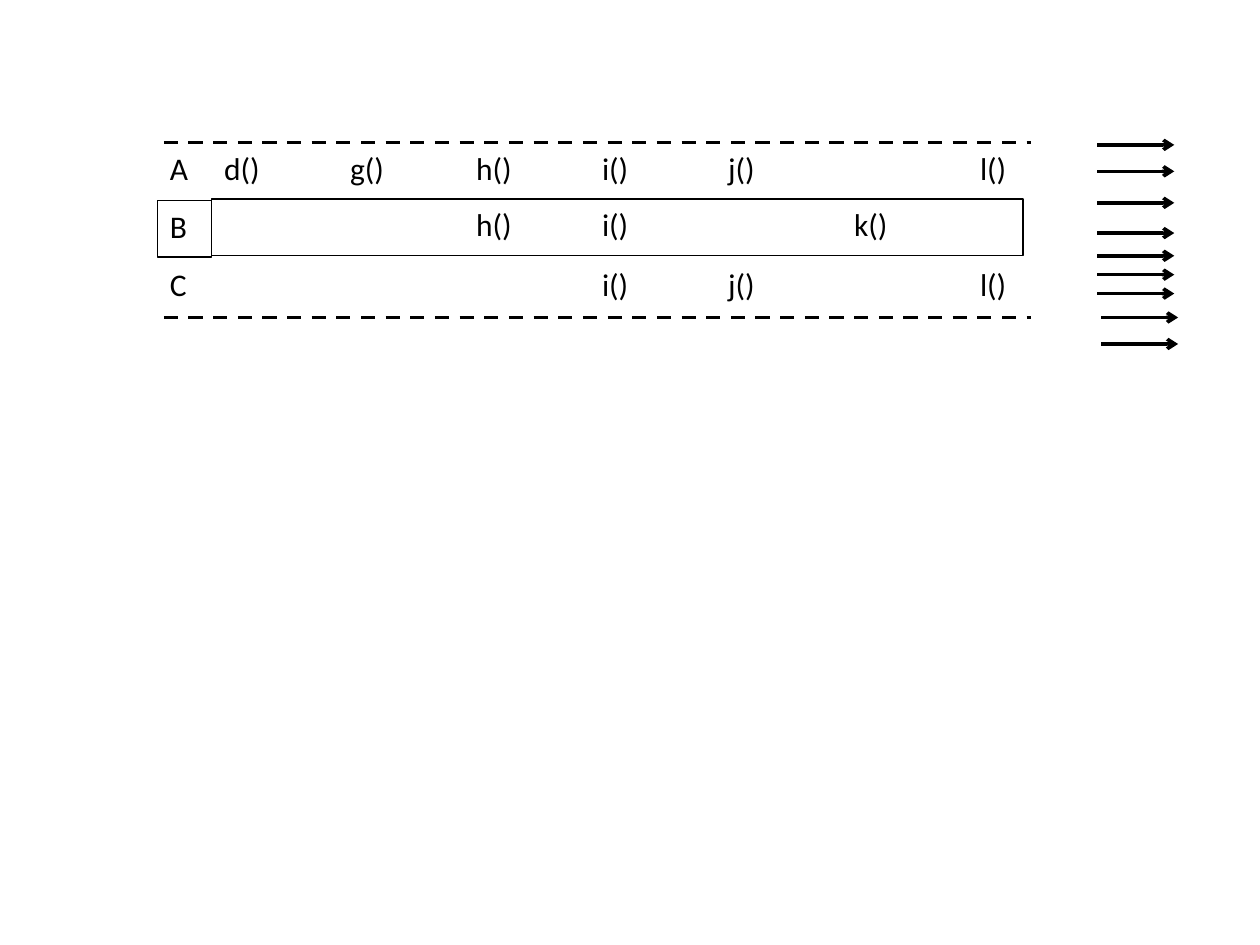
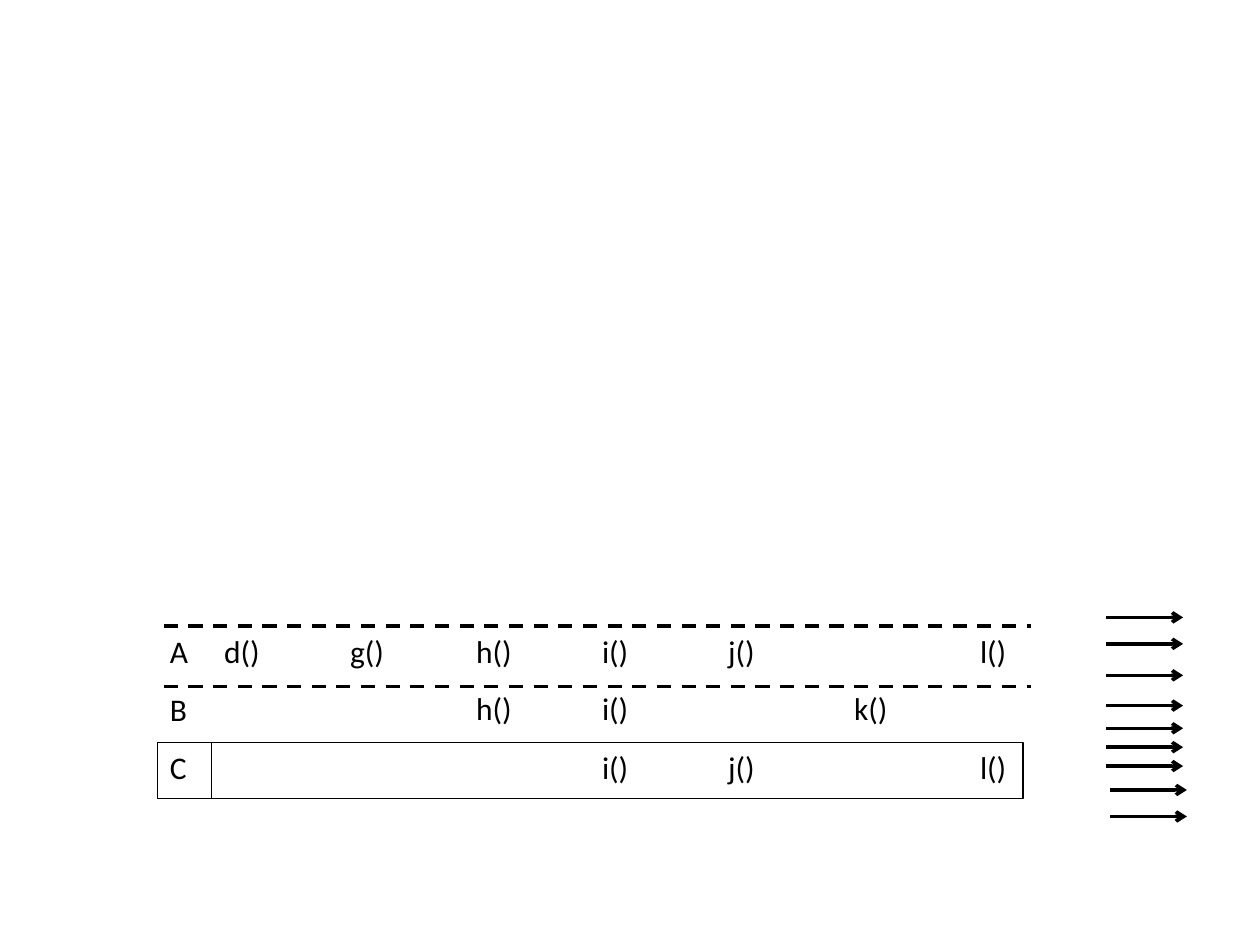
from dataclasses import dataclass

import pptx
import pptx.dml.color
import pptx.enum.dml
import pptx.enum.shapes
import pptx.enum.text
import pptx.oxml
import pptx.oxml.ns
import pptx.presentation
import pptx.shapes.connector
import pptx.slide
import pptx.util

Inches = pptx.util.Inches
Pt = pptx.util.Pt

BLACK = pptx.dml.color.RGBColor(0, 0, 0)
FONT = "Calibri"
BLANK_LAYOUT = 6

LABEL_LEFT, LABEL_WIDTH = 1.25, 0.43
CALLS_LEFT, CALLS_WIDTH = 1.68, 6.44
ROW_HEIGHT = 0.45
DASH_LEFT, DASH_RIGHT = 1.3, 8.18
TAB_STEP, TAB_COUNT = 0.5, 12
ARROW_LENGTH = 0.61
LATE_ARROW_SHIFT = 0.03
ARROW_OFFSETS = (0, 0.21, 0.46, 0.7, 0.88, 1.03, 1.18, 1.37, 1.58)
LATE_ARROWS = 2


@dataclass(frozen=True)
class ThreadRow:
    name: str
    label_offset: float
    calls_offset: float
    calls: tuple[str, ...]


@dataclass(frozen=True)
class Timeline:
    top: float
    boxed: str
    dashes: tuple[float, ...]
    arrow_left: float
    arrow_top: float


ROWS = (
    ThreadRow("A", 0, 0, ("d()", "g()", "h()", "i()", "j()", "", "l()")),
    ThreadRow("B", 0.46, 0.45, ("", "", "h()", "i()", "", "k()", "")),
    ThreadRow("C", 0.92, 0.92, ("", "", "", "i()", "j()", "", "l()")),
)

TIMELINES = (
    Timeline(1.13, "B", (1.13, 2.52), 8.71, 1.15),
    Timeline(4.97, "C", (4.97, 5.45), 8.78, 4.9),
)


def add_cell(s: pptx.slide.Slide, left: float, top: float, width: float,
             text: str, boxed: bool) -> None:
    """Add one line of tabbed text, outlined when boxed."""
    box = Inches(left), Inches(top), Inches(width), Inches(ROW_HEIGHT)
    if boxed:
        sp = s.shapes.add_shape(pptx.enum.shapes.MSO_SHAPE.RECTANGLE, *box)
        sp.shadow.inherit = False
        sp.fill.background()
        sp.line.color.rgb = BLACK
        sp.line.width = Pt(0.75)
    else:
        sp = s.shapes.add_textbox(*box)
    tf = sp.text_frame
    tf.word_wrap = True
    tf.vertical_anchor = pptx.enum.text.MSO_ANCHOR.TOP
    p = tf.paragraphs[0]
    p.alignment = pptx.enum.text.PP_ALIGN.LEFT
    r = p.add_run()
    r.text = text
    r.font.name = FONT
    r.font.size = Pt(18)
    r.font.color.rgb = BLACK
    if "\t" in text:
        stops = "".join(f'<a:tab pos="{Inches(TAB_STEP * n)}" algn="l"/>'
                        for n in range(1, TAB_COUNT + 1))
        p._p.get_or_add_pPr().append(pptx.oxml.parse_xml(
            f'<a:tabLst {pptx.oxml.ns.nsdecls("a")}>{stops}</a:tabLst>'))


def add_level_line(s: pptx.slide.Slide, left: float, right: float,
                   y: float) -> pptx.shapes.connector.Connector:
    line = s.shapes.add_connector(
        pptx.enum.shapes.MSO_CONNECTOR.STRAIGHT,
        Inches(left), Inches(y), Inches(right), Inches(y))
    line.line.color.rgb = BLACK
    line.line.width = Pt(2)
    line._element.spPr.append(pptx.oxml.parse_xml(
        f'<a:effectLst {pptx.oxml.ns.nsdecls("a")}/>'))
    return line


def add_arrow(s: pptx.slide.Slide, left: float, y: float) -> None:
    arrow = add_level_line(s, left, left + ARROW_LENGTH, y)
    arrow.line._get_or_add_ln().append(pptx.oxml.parse_xml(
        f'<a:tailEnd {pptx.oxml.ns.nsdecls("a")} type="arrow"/>'))


def add_timeline(prs: pptx.presentation.Presentation,
                 timeline: Timeline) -> None:
    s = prs.slides.add_slide(prs.slide_layouts[BLANK_LAYOUT])
    for row in ROWS:
        boxed = row.name == timeline.boxed
        add_cell(s, CALLS_LEFT, timeline.top + row.calls_offset,
                 CALLS_WIDTH, "\t\t".join(row.calls), boxed)
        add_cell(s, LABEL_LEFT, timeline.top + row.label_offset,
                 LABEL_WIDTH, row.name, boxed)
    for y in timeline.dashes:
        dash = add_level_line(s, DASH_LEFT, DASH_RIGHT, y)
        dash.line.dash_style = pptx.enum.dml.MSO_LINE.DASH
    first_late = len(ARROW_OFFSETS) - LATE_ARROWS
    for n, offset in enumerate(ARROW_OFFSETS):
        shift = LATE_ARROW_SHIFT if n >= first_late else 0
        add_arrow(s, timeline.arrow_left + shift, timeline.arrow_top + offset)


def main() -> None:
    prs = pptx.Presentation()
    prs.slide_width = Inches(10)
    prs.slide_height = Inches(7.5)
    for timeline in TIMELINES:
        add_timeline(prs, timeline)
    prs.save("out.pptx")


if __name__ == "__main__":
    main()
